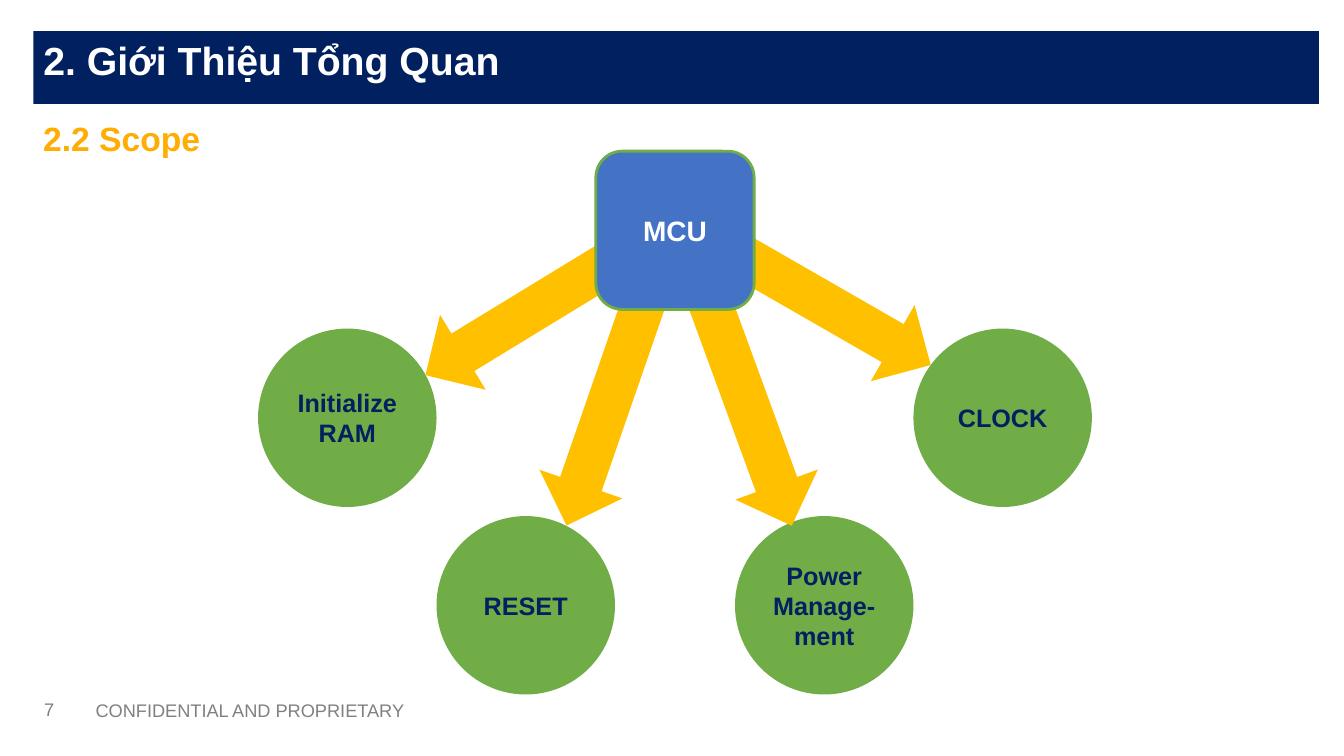
from pptx import Presentation
from pptx.dml.color import RGBColor
from pptx.enum.shapes import MSO_SHAPE
from pptx.enum.text import MSO_ANCHOR, MSO_AUTO_SIZE, PP_ALIGN
from pptx.util import Pt

PX = 9144
NAVY = RGBColor(0x00, 0x20, 0x60)
WHITE = RGBColor(0xFF, 0xFF, 0xFF)
ORANGE = RGBColor(0xFF, 0xAD, 0x00)
AMBER = RGBColor(0xFF, 0xC0, 0x00)
GREEN = RGBColor(0x70, 0xAD, 0x47)
BLUE = RGBColor(0x44, 0x72, 0xC4)
GRAY = RGBColor(0x80, 0x80, 0x80)

CIRCLE = 177
MODULES = [
    ("Initialize RAM", 0, 176),
    ("CLOCK", 650, 176),
    ("Power Manage-ment", 473, 362),
    ("RESET", 177, 362),
]
ARROWS = [
    (213, 61, 212, 58.6),
    (302, 136, 242, 19.1),
    (444, 136, 243, 339.9),
    (527, 45, 223, 299.9),
]


def emu(*lengths):
    """Turn px lengths into EMU."""
    return [round(length * PX) for length in lengths]


def write(frame, text, size, color, bold=True, align=PP_ALIGN.LEFT, anchor=MSO_ANCHOR.TOP):
    """Fill a text frame with one formatted paragraph and return it."""
    frame.text = text
    frame.word_wrap = True
    frame.auto_size = MSO_AUTO_SIZE.NONE
    frame.vertical_anchor = anchor
    paragraph = frame.paragraphs[0]
    paragraph.alignment = align
    paragraph.font.name = "Arial"
    paragraph.font.size = Pt(size)
    paragraph.font.bold = bold
    paragraph.font.color.rgb = color
    return paragraph


def add_text(slide, box, text, size, color, **style):
    """Add a text box and return its paragraph."""
    frame = slide.shapes.add_textbox(*emu(*box)).text_frame
    return write(frame, text, size, color, **style)


def add_block(slide, preset, box, fill):
    """Add a flat filled shape without outline."""
    block = slide.shapes.add_shape(preset, *emu(*box))
    block.shadow.inherit = False
    block.fill.solid()
    block.fill.fore_color.rgb = fill
    block.line.fill.background()
    return block


def add_heading(slide, left, top, width):
    """Place the title bar and the section heading below it."""
    title = slide.shapes.title
    title.left, title.top, title.width, title.height = emu(left, top, width, 72)
    title.fill.solid()
    title.fill.fore_color.rgb = NAVY
    write(title.text_frame, "2. Giới Thiệu Tổng Quan", 28, WHITE)
    section = add_text(slide, (left, top + 81, width, 529), "2.2 Scope", 24, ORANGE)
    section.space_before = Pt(5.8)
    section.space_after = Pt(0.8)


def add_scope_diagram(slide, left, top):
    """Draw the MCU with arrows to its four modules."""
    centered = {"align": PP_ALIGN.CENTER, "anchor": MSO_ANCHOR.MIDDLE}
    for name, x, y in MODULES:
        box = (left + x, top + y, CIRCLE, CIRCLE)
        module = add_block(slide, MSO_SHAPE.FLOWCHART_CONNECTOR, box, GREEN)
        write(module.text_frame, name, 18, NAVY, **centered)
    for x, y, length, angle in ARROWS:
        arrow = add_block(slide, MSO_SHAPE.DOWN_ARROW, (left + x, top + y, 87, length), AMBER)
        arrow.rotation = angle
    mcu = add_block(slide, MSO_SHAPE.ROUNDED_RECTANGLE, (left + 335, top, 157, 157), BLUE)
    mcu.line.color.rgb = GREEN
    mcu.line.width = Pt(2)
    write(mcu.text_frame, "MCU", 20, WHITE, **centered)


def add_footer(slide, left, top):
    """Place the page number and the confidentiality note."""
    add_text(slide, (left + 48, top, 398, 34), "CONFIDENTIAL AND PROPRIETARY", 13, GRAY, bold=False)
    page = add_text(slide, (left - 3, top, 68, 30), "7", 13, GRAY, bold=False, anchor=MSO_ANCHOR.MIDDLE)
    page.line_spacing = 1


def main():
    """Build the slide and save it."""
    deck = Presentation()
    deck.slide_width, deck.slide_height = emu(1333, 750)
    slide = deck.slides.add_slide(deck.slide_layouts[5])
    add_heading(slide, 33, 31, 1275)
    add_scope_diagram(slide, 256, 150)
    add_footer(slide, 37, 689)
    deck.save("out.pptx")


if __name__ == "__main__":
    main()
